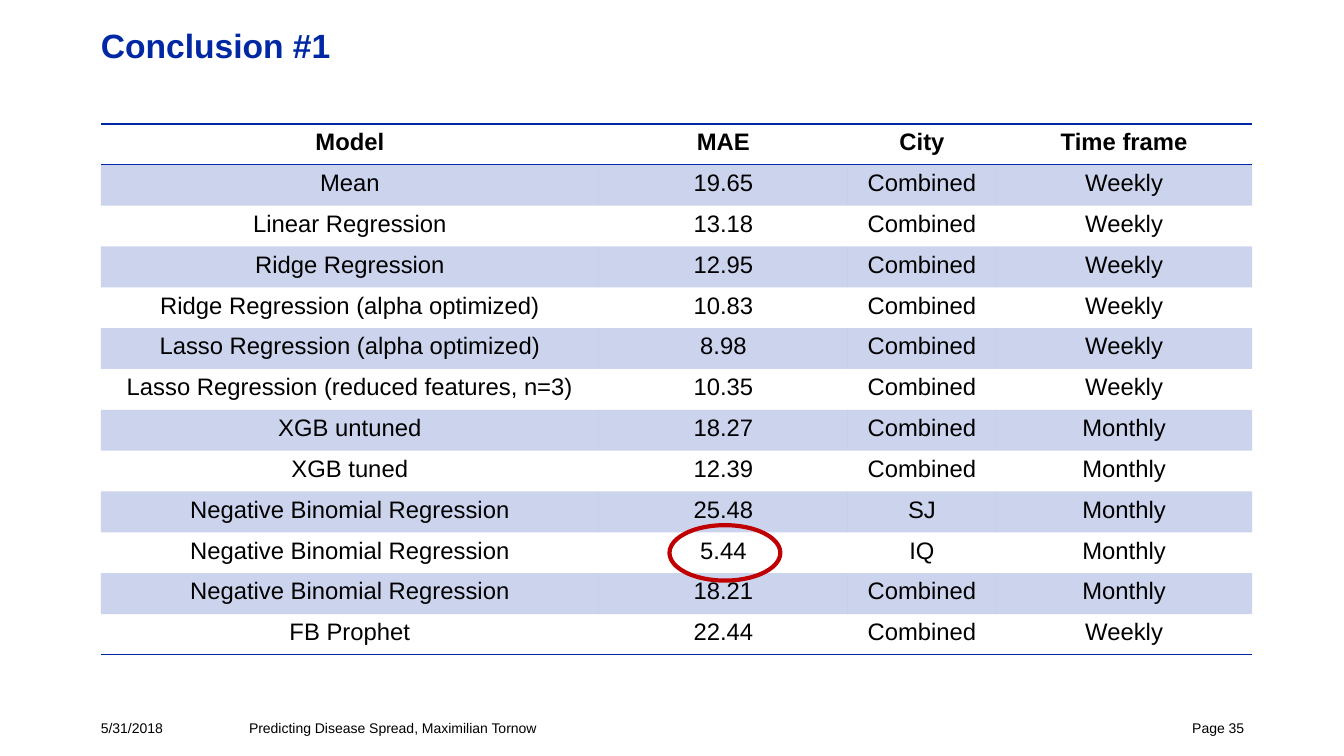
"""Build the conclusion slide that compares forecasting models by mean absolute error."""
import dataclasses
import typing

import lxml.etree
import pptx
import pptx.dml.color
import pptx.enum.shapes
import pptx.enum.text
import pptx.oxml.ns
import pptx.util

EMU_PER_PX = 9144
ALIGN = pptx.enum.text.PP_ALIGN
PLAIN_TABLE_STYLE = "{2D5ABB26-0587-4C30-8999-92F81FD0307C}"


@dataclasses.dataclass(frozen=True)
class Theme:
    font: str = "Arial"
    blue: str = "0028A5"
    black: str = "000000"
    red: str = "C00000"
    band_alpha: int = 20
    title_size: int = 24
    table_size: int = 17
    footer_size: int = 10
    rule_width: int = 1
    ring_width: int = 3


class Area(typing.NamedTuple):
    left: int
    top: int
    width: int
    height: int

    def emu(self) -> list[int]:
        return [px(length) for length in self]


class Label(typing.NamedTuple):
    text: str
    area: Area
    style: dict[str, typing.Any]


class Result(typing.NamedTuple):
    model: str
    error: str
    city: str
    time_frame: str


THEME = Theme()
PAGE_WIDTH, PAGE_HEIGHT = 1333, 750
TABLE_AREA = Area(100, 123, 1142, 527)
COLUMN_WIDTHS = (494, 247, 147, 254)
BEST_RESULT_AREA = Area(664, 521, 110, 55)
FOOTER = {"size": THEME.footer_size}

LABELS = (
    Label("Conclusion #1", Area(100, 21, 1134, 67),
          {"size": THEME.title_size, "color": THEME.blue, "bold": True, "inset_top": 4}),
    Label("5/31/2018", Area(100, 714, 136, 24), FOOTER),
    Label("Page 35", Area(1143, 714, 91, 24), {**FOOTER, "align": ALIGN.RIGHT}),
    Label("Predicting Disease Spread, Maximilian Tornow", Area(247, 714, 766, 24), FOOTER),
)

HEADER = Result("Model", "MAE", "City", "Time frame")
RESULTS = (
    Result("Mean", "19.65", "Combined", "Weekly"),
    Result("Linear Regression", "13.18", "Combined", "Weekly"),
    Result("Ridge Regression", "12.95", "Combined", "Weekly"),
    Result("Ridge Regression (alpha optimized)", "10.83", "Combined", "Weekly"),
    Result("Lasso Regression (alpha optimized)", "8.98", "Combined", "Weekly"),
    Result("Lasso Regression (reduced features, n=3)", "10.35", "Combined", "Weekly"),
    Result("XGB untuned", "18.27", "Combined", "Monthly"),
    Result("XGB tuned", "12.39", "Combined", "Monthly"),
    Result("Negative Binomial Regression", "25.48", "SJ", "Monthly"),
    Result("Negative Binomial Regression", "5.44", "IQ", "Monthly"),
    Result("Negative Binomial Regression", "18.21", "Combined", "Monthly"),
    Result("FB Prophet", "22.44", "Combined", "Weekly"),
)


def px(length: int) -> int:
    return length * EMU_PER_PX


def rgb(color: str) -> pptx.dml.color.RGBColor:
    return pptx.dml.color.RGBColor.from_string(color)


def add_child(parent, tag: str, **attributes: str):
    return lxml.etree.SubElement(parent, pptx.oxml.ns.qn(tag), attributes)


def write(frame, text: str, *, size: int, color: str = THEME.black,
          bold: bool = False, align=ALIGN.LEFT) -> None:
    para = frame.paragraphs[0]
    para.alignment = align
    span = para.add_run()
    span.text = text
    span.font.name = THEME.font
    span.font.size = pptx.util.Pt(size)
    span.font.bold = bold
    span.font.color.rgb = rgb(color)


def add_label(page, label: Label) -> None:
    frame = page.shapes.add_textbox(*label.area.emu()).text_frame
    frame.word_wrap = True
    style = dict(label.style)
    frame.margin_top = px(style.pop("inset_top", 0))
    frame.margin_left = frame.margin_right = frame.margin_bottom = 0
    write(frame, label.text, **style)


def add_rule(cell, tag: str) -> None:
    width = pptx.util.Pt(THEME.rule_width)
    line = add_child(cell._tc.get_or_add_tcPr(), tag, w=str(width))
    add_child(add_child(line, "a:solidFill"), "a:srgbClr", val=THEME.blue)


def fill_band(cell) -> None:
    cell.fill.solid()
    cell.fill.fore_color.rgb = rgb(THEME.blue)
    color = cell._tc.tcPr.find(".//" + pptx.oxml.ns.qn("a:srgbClr"))
    if color is None:
        raise ValueError("band fill has no colour")
    colors = cell._tc.tcPr.findall(pptx.oxml.ns.qn("a:solidFill"))
    add_child(colors[-1][0], "a:alpha", val=str(THEME.band_alpha * 1000))


def add_results(page) -> None:
    rows = (HEADER, *RESULTS)
    frame = page.shapes.add_table(len(rows), len(COLUMN_WIDTHS), *TABLE_AREA.emu())
    table = frame.table
    style = table._tbl.tblPr.find(pptx.oxml.ns.qn("a:tableStyleId"))
    style.text = PLAIN_TABLE_STYLE
    for column, width in zip(table.columns, COLUMN_WIDTHS):
        column.width = px(width)
    for row_index, row in enumerate(rows):
        is_header = row_index == 0
        for column_index, text in enumerate(row):
            cell = table.cell(row_index, column_index)
            write(cell.text_frame, text, size=THEME.table_size,
                  bold=is_header, align=ALIGN.CENTER)
            if is_header:
                add_rule(cell, "a:lnT")
            if is_header or row_index == len(RESULTS):
                add_rule(cell, "a:lnB")
            if row_index % 2:
                fill_band(cell)
            else:
                cell.fill.background()


def add_ring(page, area: Area) -> None:
    ring = page.shapes.add_shape(pptx.enum.shapes.MSO_SHAPE.OVAL, *area.emu())
    ring.shadow.inherit = False
    ring.fill.background()
    ring.line.color.rgb = rgb(THEME.red)
    ring.line.width = pptx.util.Pt(THEME.ring_width)


def main() -> None:
    deck = pptx.Presentation()
    deck.slide_width, deck.slide_height = px(PAGE_WIDTH), px(PAGE_HEIGHT)
    page = deck.slides.add_slide(deck.slide_layouts[6])
    for label in LABELS:
        add_label(page, label)
    add_results(page)
    add_ring(page, BEST_RESULT_AREA)
    deck.save("out.pptx")


if __name__ == "__main__":
    main()
